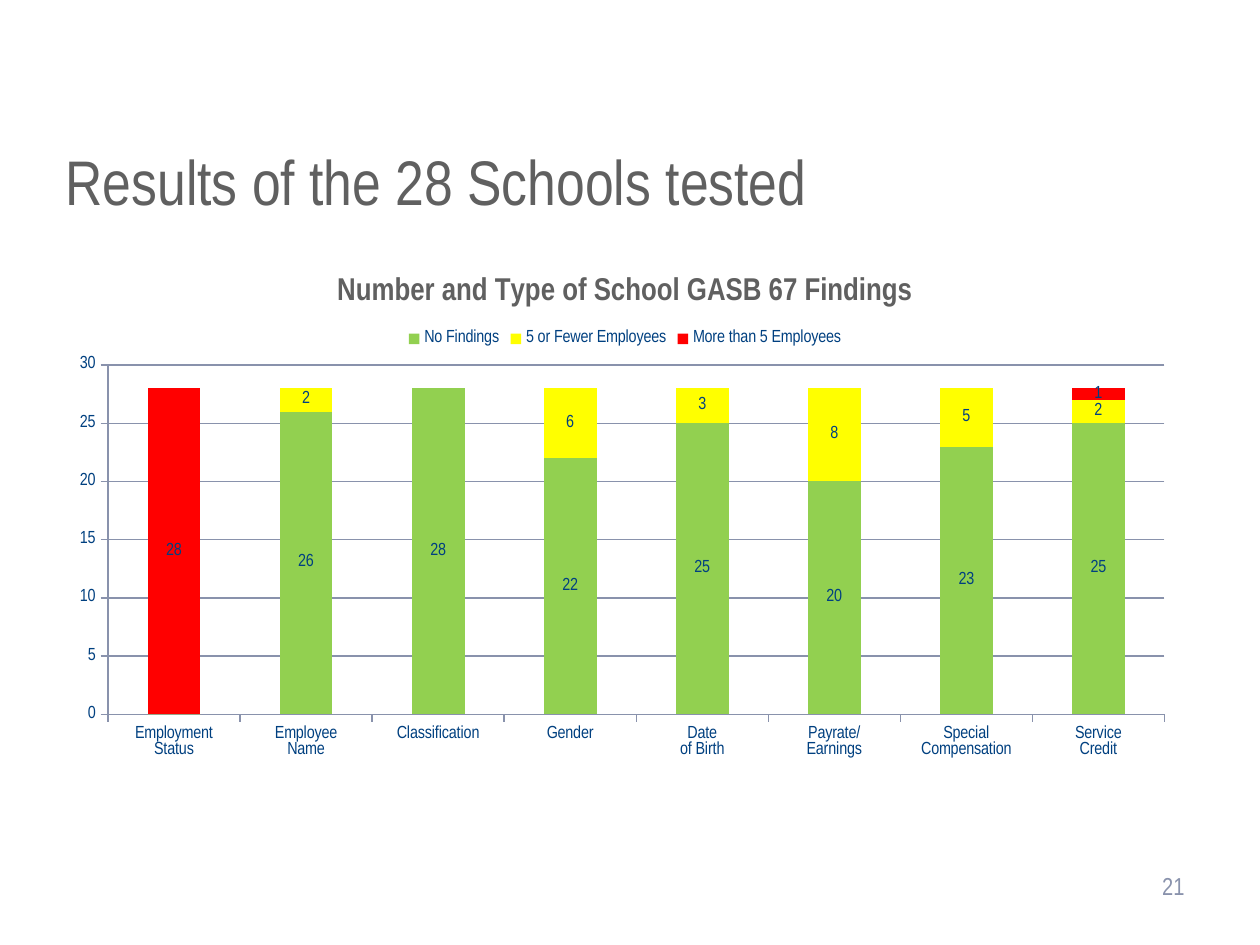
import pptx
import pptx.chart.data
import pptx.dml.color
import pptx.enum.chart
import pptx.enum.text
import pptx.oxml
import pptx.oxml.ns
import pptx.util

RGBColor = pptx.dml.color.RGBColor
GRAY = RGBColor(0x60, 0x60, 0x60)
NAVY = RGBColor(0x00, 0x40, 0x80)
SLATE = RGBColor(0x89, 0x92, 0xAC)
GREEN = RGBColor(0x92, 0xD0, 0x50)
YELLOW = RGBColor(0xFF, 0xFF, 0x00)
RED = RGBColor(0xFF, 0x00, 0x00)

CATEGORIES = [
    "Employment\nStatus", "Employee\nName", "Classification", "Gender",
    "Date\nof Birth", "Payrate/\nEarnings", "Special\nCompensation", "Service\nCredit",
]
FINDINGS = [
    ("No Findings", [0, 26, 28, 22, 25, 20, 23, 25], GREEN),
    ("5 or Fewer Employees", [0, 2, 0, 6, 3, 8, 5, 2], YELLOW),
    ("More than 5 Employees", [28, 0, 0, 0, 0, 0, 0, 1], RED),
]


class SlideBuilder:
    font_name = "Arial Narrow"
    pixels_per_inch = 126

    def __init__(self, slide):
        self.slide = slide

    def box(self, *lengths):
        return [round(length * 914400 / self.pixels_per_inch) for length in lengths]

    def style(self, font, size, color, bold=False):
        font.name = self.font_name
        font.size = pptx.util.Pt(size)
        font.bold = bold
        font.color.rgb = color

    def set_text(self, shape, text, size, color, align, anchor):
        frame = shape.text_frame
        frame.text = text
        frame.word_wrap = True
        frame.vertical_anchor = anchor
        paragraph = frame.paragraphs[0]
        paragraph.alignment = align
        self.style(paragraph.runs[0].font, size, color)

    def title(self, text, *lengths):
        shape = self.slide.shapes.title
        shape.left, shape.top, shape.width, shape.height = self.box(*lengths)
        self.set_text(shape, text, 36, GRAY, pptx.enum.text.PP_ALIGN.LEFT,
                      pptx.enum.text.MSO_ANCHOR.TOP)

    def page_number(self, text, *lengths):
        shape = self.slide.shapes.add_textbox(*self.box(*lengths))
        self.set_text(shape, text, 14, SLATE, pptx.enum.text.PP_ALIGN.RIGHT,
                      pptx.enum.text.MSO_ANCHOR.MIDDLE)

    def stacked_chart(self, title, categories, findings, *lengths):
        data = pptx.chart.data.CategoryChartData()
        data.categories = categories
        for name, values, _ in findings:
            data.add_series(name, values)
        chart = self.slide.shapes.add_chart(
            pptx.enum.chart.XL_CHART_TYPE.COLUMN_STACKED, *self.box(*lengths), data).chart
        self.style(chart.font, 10, NAVY)

        chart.has_title = True
        chart.chart_title.include_in_layout = False
        frame = chart.chart_title.text_frame
        frame.text = title
        self.style(frame.paragraphs[0].runs[0].font, 18, GRAY, bold=True)

        chart.has_legend = True
        chart.legend.position = pptx.enum.chart.XL_LEGEND_POSITION.TOP
        chart.legend.include_in_layout = False

        plot = chart.plots[0]
        plot.gap_width = 150
        plot.overlap = 100
        plot.vary_by_categories = False
        for series, (_, _, color) in zip(plot.series, findings):
            series.format.fill.solid()
            series.format.fill.fore_color.rgb = color
            labels = series.data_labels
            labels.show_value = True
            labels.number_format = "0;;"
            labels.number_format_is_linked = False
            labels.position = pptx.enum.chart.XL_LABEL_POSITION.CENTER
            self.style(labels.font, 10, NAVY)

        value_axis = chart.value_axis
        value_axis.minimum_scale = 0
        value_axis.maximum_scale = 30
        value_axis.major_unit = 5
        value_axis.has_major_gridlines = True
        value_axis.major_gridlines.format.line.color.rgb = SLATE
        for axis in (chart.category_axis, value_axis):
            axis.major_tick_mark = pptx.enum.chart.XL_TICK_MARK.OUTSIDE
            axis.format.line.color.rgb = SLATE
            self.style(axis.tick_labels.font, 10, NAVY)
        self.place_plot(chart, x=0.04, y=0.22, w=0.94, h=0.68)

    def place_plot(self, chart, **fractions):
        namespace = pptx.oxml.ns.nsdecls("c")
        modes = '<c:layoutTarget val="inner"/><c:xMode val="edge"/><c:yMode val="edge"/>'
        sizes = "".join(f'<c:{key} val="{value}"/>' for key, value in fractions.items())
        layout = pptx.oxml.parse_xml(
            f"<c:layout {namespace}><c:manualLayout>{modes}{sizes}</c:manualLayout></c:layout>")
        plot_area = chart.plots[0]._element.getparent()
        for old_layout in plot_area.findall(pptx.oxml.ns.qn("c:layout")):
            plot_area.remove(old_layout)
        plot_area.insert(0, layout)


def main():
    presentation = pptx.Presentation()
    presentation.slide_width = pptx.util.Inches(10)
    presentation.slide_height = pptx.util.Inches(7.5)
    builder = SlideBuilder(presentation.slides.add_slide(presentation.slide_layouts[5]))
    builder.title("Results of the 28 Schools tested", 53, 136, 1144, 158)
    builder.page_number("21", 903, 861, 294, 50)
    builder.stacked_chart("Number and Type of School GASB 67 Findings",
                          CATEGORIES, FINDINGS, 63, 252, 1124, 514)
    presentation.save("out.pptx")


if __name__ == "__main__":
    main()
